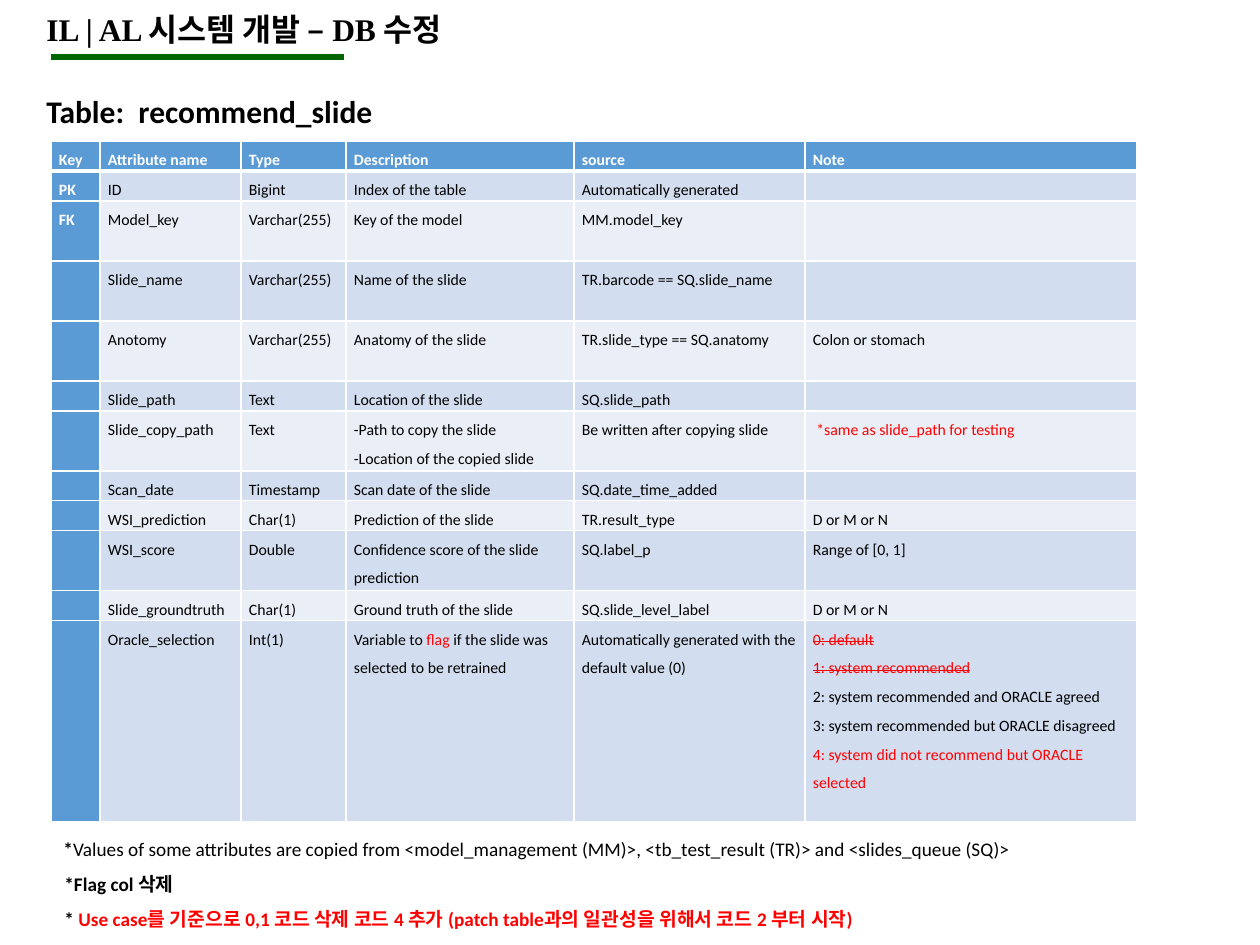
from lxml import etree
from pptx import Presentation
from pptx.dml.color import RGBColor
from pptx.enum.shapes import MSO_CONNECTOR as CONN
from pptx.enum.text import MSO_AUTO_SIZE as AUTO
from pptx.oxml.ns import qn
from pptx.util import Pt

PX = 914400 // 126
WHITE, BLACK, RED, GREEN = "FFFFFF", "000000", "FF0000", "006600"
BLUE, BANDS = "5B9BD5", ("D2DEEF", "EAEFF7")

COLS = [49, 141, 105, 228, 231, 332]
LINE_ROW, TALL_ROW, LAST_ROW = 30, 60, 201
ROW_HEIGHTS = [LINE_ROW] * 2 + [TALL_ROW] * 3 + [LINE_ROW, TALL_ROW]
ROW_HEIGHTS += [LINE_ROW] * 2 + [TALL_ROW, LINE_ROW, LAST_ROW]

# A cell is one string or a list of paragraphs; a paragraph is one string
# or a list of (text, colour, struck) runs.
ROWS = [
    ["Key", "Attribute name", "Type", "Description", "source", "Note"],
    ["PK", "ID", "Bigint", "Index of the table", "Automatically generated", ""],
    ["FK", "Model_key", "Varchar(255)", "Key of the model", "MM.model_key", ""],
    ["", "Slide_name", "Varchar(255)", "Name of the slide",
     "TR.barcode == SQ.slide_name", ""],
    ["", "Anotomy", "Varchar(255)", "Anatomy of the slide",
     "TR.slide_type == SQ.anatomy", "Colon or stomach"],
    ["", "Slide_path", "Text", "Location of the slide", "SQ.slide_path", ""],
    ["", "Slide_copy_path", "Text",
     "-Path to copy the slide\v-Location of the copied slide",
     "Be written after copying slide",
     [[(" *same as slide_path for testing", RED, False)]]],
    ["", "Scan_date", "Timestamp", "Scan date of the slide",
     "SQ.date_time_added", ""],
    ["", "WSI_prediction", "Char(1)", "Prediction of the slide",
     "TR.result_type", "D or M or N"],
    ["", "WSI_score", "Double", "Confidence score of the slide prediction",
     "SQ.label_p", "Range of [0, 1]"],
    ["", "Slide_groundtruth", "Char(1)", "Ground truth of the slide",
     "SQ.slide_level_label", "D or M or N"],
    ["", "Oracle_selection", "Int(1)",
     [[("Variable to", BLACK, False), (" flag ", RED, False),
       ("if the slide was selected to be retrained", BLACK, False)]],
     "Automatically generated with the default value (0)",
     [[("0: default", RED, True)],
      [("1: system recommended", RED, True)],
      "2: system recommended and ORACLE agreed",
      "3: system recommended but ORACLE disagreed",
      [("4: system did not recommend but ORACLE selected", RED, False)]]],
]


def rgb(color):
    return RGBColor.from_string(color)


def style(font, size, color, bold, name="Calibri"):
    font.name, font.size, font.bold = name, Pt(size), bold
    font.color.rgb = rgb(color)


def add_cell_border(cell, side, width):
    ln = etree.SubElement(cell._tc.get_or_add_tcPr(), qn(f"a:ln{side}"),
                          w=str(Pt(width)))
    fill = etree.SubElement(ln, qn("a:solidFill"))
    etree.SubElement(fill, qn("a:srgbClr"), val=WHITE)


def fill_cell(cell, content, fill, color, bold, bottom):
    cell.margin_left = cell.margin_right = 8 * PX
    cell.margin_top = cell.margin_bottom = 0
    # Borders come before the fill in the cell properties
    for side, width in (("L", 1), ("R", 1), ("T", 1), ("B", bottom)):
        add_cell_border(cell, side, width)
    cell.fill.solid()
    cell.fill.fore_color.rgb = rgb(fill)

    tf = cell.text_frame
    paragraphs = [content] if isinstance(content, str) else content
    for i, item in enumerate(paragraphs):
        p = tf.add_paragraph() if i else tf.paragraphs[0]
        p.line_spacing = 1.5
        style(p.font, 9, color, bold)
        if not item:
            # An empty cell keeps its row low through its end mark
            etree.SubElement(p._p, qn("a:endParaRPr"), sz="900")
        elif isinstance(item, str):
            p.text = item
        else:
            for text, run_color, struck in item:
                r = p.add_run()
                r.text = text
                r.font.color.rgb = rgb(run_color)
                if struck:
                    r._r.get_or_add_rPr().set("strike", "sngStrike")


def add_attribute_table(s, x, y):
    frame = s.shapes.add_table(len(ROWS), len(COLS), x * PX, y * PX,
                               sum(COLS) * PX, sum(ROW_HEIGHTS) * PX)
    table = frame.table
    table.first_row = table.horz_banding = False
    for col, width in zip(table.columns, COLS):
        col.width = width * PX
    for i, (row, height) in enumerate(zip(table.rows, ROW_HEIGHTS)):
        row.height = height * PX
        for j, content in enumerate(ROWS[i]):
            head = i == 0 or j == 0
            fill_cell(row.cells[j], content,
                      BLUE if head else BANDS[(i - 1) % 2],
                      WHITE if head else BLACK, head, 1 if i else 3)


def add_text(s, x, y, w, h, paragraphs, size, name="Calibri", spacing=None,
             wrap=True):
    """Each paragraph is a list of (text, colour, bold) runs."""
    tf = s.shapes.add_textbox(x * PX, y * PX, w * PX, h * PX).text_frame
    tf.word_wrap = wrap
    tf.auto_size = AUTO.SHAPE_TO_FIT_TEXT
    for i, runs in enumerate(paragraphs):
        p = tf.paragraphs[0] if i == 0 else tf.add_paragraph()
        p.line_spacing = spacing
        p.font.name, p.font.size = name, Pt(size)
        for text, color, bold in runs:
            r = p.add_run()
            r.text = text
            r.font.bold = bold
            r.font.color.rgb = rgb(color)


def add_rule(s, x1, x2, y, color, width):
    line = s.shapes.add_connector(CONN.STRAIGHT, x1 * PX, y * PX,
                                  x2 * PX, y * PX)
    line.line.color.rgb = rgb(color)
    line.line.width = Pt(width)
    etree.SubElement(line._element.spPr, qn("a:effectLst"))


def main():
    prs = Presentation()
    prs.slide_width, prs.slide_height = 1260 * PX, 945 * PX
    s = prs.slides.add_slide(prs.slide_layouts[6])

    # Attribute table
    add_attribute_table(s, 51, 141)

    # Notes below the table
    add_text(s, 51, 820, 1082, 44, [
        [("*", BLACK, True),
         ("Values of some attributes are copied from <model_management (MM)>, "
          "<tb_test_result (TR)> and <slides_queue (SQ)>", BLACK, False)],
    ], 11, spacing=1.5)
    add_text(s, 52, 855, 1082, 79, [
        [("*Flag col 삭제", BLACK, True)],
        [("* ", BLACK, True),
         ("Use case를 기준으로 0,1 코드 삭제 코드 4 추가 "
          "(patch table과의 일관성을 위해서 코드 2 부터 시작)", RED, True)],
    ], 11, spacing=1.5)

    # Headings and rule
    add_text(s, 34, 86, 362, 50,
             [[("Table:  recommend_slide", BLACK, True)]], 18, wrap=False)
    add_rule(s, 51, 344, 57, GREEN, 3)
    add_text(s, 34, 4, 877, 50,
             [[("IL | AL 시스템 개발 – DB 수정", BLACK, True)]], 18,
             name="Times New Roman")

    prs.save("out.pptx")


if __name__ == "__main__":
    main()
